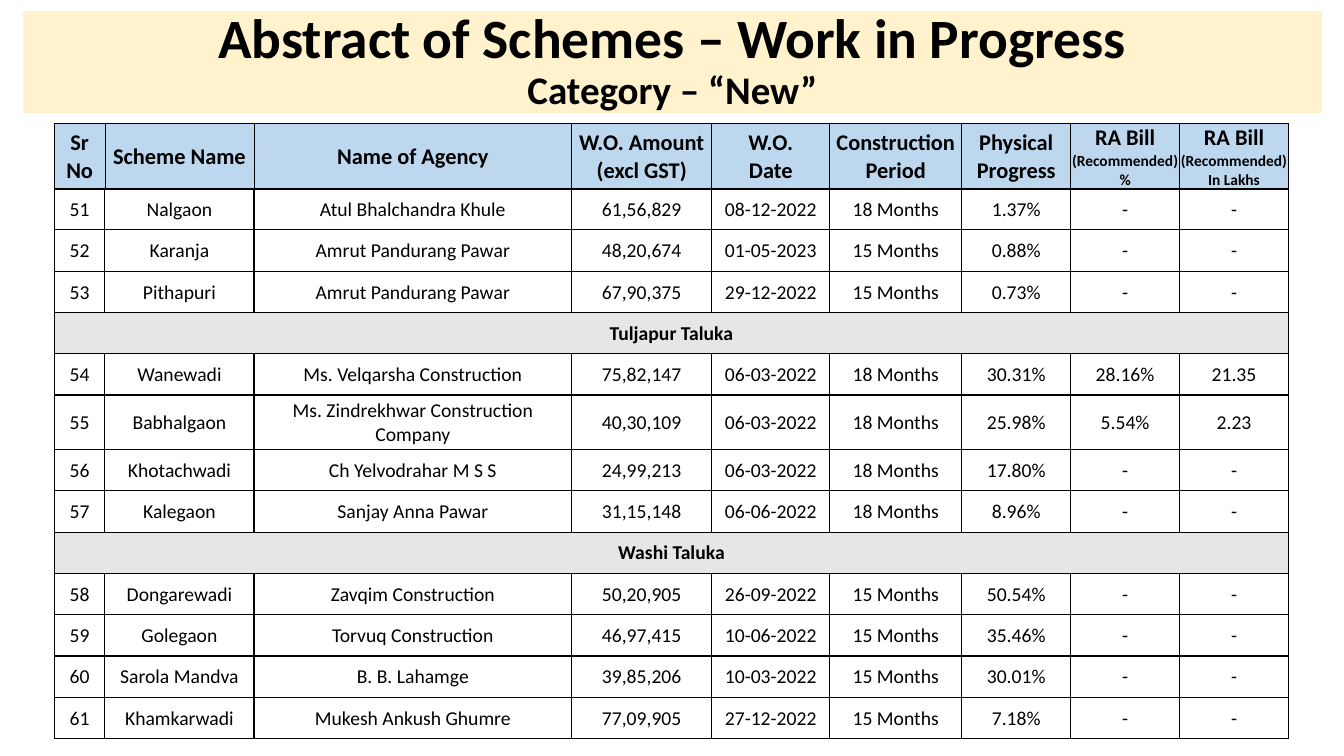
from pptx import Presentation
from pptx.dml.color import RGBColor
from pptx.enum.text import MSO_ANCHOR, MSO_AUTO_SIZE, PP_ALIGN
from pptx.oxml import parse_xml
from pptx.oxml.ns import nsdecls
from pptx.util import Inches, Pt

BLACK = RGBColor(0x00, 0x00, 0x00)
CREAM = RGBColor(0xFF, 0xF2, 0xCC)
BLUE = RGBColor(0xBD, 0xD7, 0xEE)
GREY = RGBColor(0xE7, 0xE6, 0xE6)

LEFT = 0.54
COLUMN_WIDTHS = [0.5, 1.48, 3.15, 1.39, 1.17, 1.31, 1.08, 1.08, 1.08]
HEADER_HEIGHT, ROW_HEIGHT, TALL_ROW_HEIGHT = 0.65, 0.41, 0.54
MARGINS = {"margin_left": Inches(0.01), "margin_top": Inches(0.01),
           "margin_right": Inches(0.01), "margin_bottom": 0}

# Each heading is a list of (text, size) paragraphs.
HEADINGS = [
    [("Sr No", 16)],
    [("Scheme Name", 16)],
    [("Name of Agency", 16)],
    [("W.O. Amount\n(excl GST)", 16)],
    [("W.O.\nDate", 16)],
    [("Construction\nPeriod", 16)],
    [("Physical", 16), ("Progress", 16)],
    [("RA Bill", 16), ("(Recommended)", 11), ("%", 11)],
    [("RA Bill", 16), ("(Recommended)", 11), ("In Lakhs", 11)],
]
# A row with a single entry is a taluka band across the table.
SCHEMES = [
    ["51", "Nalgaon", "Atul Bhalchandra Khule", "61,56,829", "08-12-2022", "18 Months", "1.37%", "-", "-"],
    ["52", "Karanja", "Amrut Pandurang Pawar", "48,20,674", "01-05-2023", "15 Months", "0.88%", "-", "-"],
    ["53", "Pithapuri", "Amrut Pandurang Pawar", "67,90,375", "29-12-2022", "15 Months", "0.73%", "-", "-"],
    ["Tuljapur Taluka"],
    ["54", "Wanewadi", "Ms. Velqarsha Construction", "75,82,147", "06-03-2022", "18 Months", "30.31%", "28.16%", "21.35"],
    ["55", "Babhalgaon", "Ms. Zindrekhwar Construction Company", "40,30,109", "06-03-2022", "18 Months", "25.98%", "5.54%", "2.23"],
    ["56", "Khotachwadi", "Ch Yelvodrahar M S S", "24,99,213", "06-03-2022", "18 Months", "17.80%", "-", "-"],
    ["57", "Kalegaon", "Sanjay Anna Pawar", "31,15,148", "06-06-2022", "18 Months", "8.96%", "-", "-"],
    ["Washi Taluka"],
    ["58", "Dongarewadi", "Zavqim Construction", "50,20,905", "26-09-2022", "15 Months", "50.54%", "-", "-"],
    ["59", "Golegaon", "Torvuq Construction", "46,97,415", "10-06-2022", "15 Months", "35.46%", "-", "-"],
    ["60", "Sarola Mandva", "B. B. Lahamge", "39,85,206", "10-03-2022", "15 Months", "30.01%", "-", "-"],
    ["61", "Khamkarwadi", "Mukesh Ankush Ghumre", "77,09,905", "27-12-2022", "15 Months", "7.18%", "-", "-"],
]
TALL_ROW = 5


def add_grid(page, top, row_heights):
    """Add an unstyled table that uses the shared column widths."""
    frame = page.shapes.add_table(
        len(row_heights), len(COLUMN_WIDTHS), Inches(LEFT), Inches(top),
        Inches(sum(COLUMN_WIDTHS)), Inches(sum(row_heights)))
    table = frame.table
    table.first_row = table.horz_banding = False
    for column, width in zip(table.columns, COLUMN_WIDTHS):
        column.width = Inches(width)
    for row, height in zip(table.rows, row_heights):
        row.height = Inches(height)
    return table


def format_cell(cell, paragraphs, bold, fill, side_width, bottom_width):
    """Fill a cell with centred (text, size) paragraphs, borders and colour."""
    for name, value in MARGINS.items():
        setattr(cell, name, value)
    cell.vertical_anchor = MSO_ANCHOR.MIDDLE
    properties = cell._tc.get_or_add_tcPr()
    for side in "LRTB":
        width = Pt(bottom_width if side == "B" else side_width)
        properties.append(parse_xml(
            f'<a:ln{side} {nsdecls("a")} w="{width}"><a:solidFill>'
            f'<a:srgbClr val="{BLACK}"/></a:solidFill></a:ln{side}>'))
    if fill is None:
        cell.fill.background()
    else:
        cell.fill.solid()
        cell.fill.fore_color.rgb = fill
    for index, (text, size) in enumerate(paragraphs):
        box = cell.text_frame
        para = box.add_paragraph() if index else box.paragraphs[0]
        para.text = text
        para.alignment = PP_ALIGN.CENTER
        for span in para.runs:
            for name, value in {"name": "Calibri", "size": Pt(size), "bold": bold}.items():
                setattr(span.font, name, value)
            span.font.color.rgb = BLACK


deck = Presentation()
deck.slide_width, deck.slide_height = Inches(13.33), Inches(7.5)
page = deck.slides.add_slide(deck.slide_layouts[5])

title = page.shapes.title
title.left, title.top = Inches(0.23), Inches(0.11)
title.width, title.height = Inches(12.88), Inches(1.01)
title.fill.solid()
title.fill.fore_color.rgb = CREAM
title.text_frame.vertical_anchor = MSO_ANCHOR.MIDDLE
title.text_frame.auto_size = MSO_AUTO_SIZE.NONE
para = title.text_frame.paragraphs[0]
para.text = "Abstract of Schemes – Work in Progress\nCategory – “New”"
para.alignment = PP_ALIGN.CENTER
para.line_spacing = 0.9
for span, size in zip(para.runs, [39.6, 27.9]):
    for name, value in {"name": "Calibri", "size": Pt(size), "bold": True}.items():
        setattr(span.font, name, value)
    span.font.color.rgb = BLACK

header = add_grid(page, 1.22, [HEADER_HEIGHT])
for column, heading in enumerate(HEADINGS):
    format_cell(header.cell(0, column), heading, True, BLUE, 0.5, 1)

row_heights = [ROW_HEIGHT] * len(SCHEMES)
row_heights[TALL_ROW] = TALL_ROW_HEIGHT
body = add_grid(page, 1.22 + HEADER_HEIGHT, row_heights)
last_column = len(COLUMN_WIDTHS) - 1
for row, entries in enumerate(SCHEMES):
    is_band = len(entries) == 1
    if is_band:
        body.cell(row, 0).merge(body.cell(row, last_column))
    for column in range(last_column + 1):
        paragraphs = [(entries[column], 14)] if column < len(entries) else []
        format_cell(body.cell(row, column), paragraphs, is_band, GREY if is_band else None, 1, 1)

deck.save("out.pptx")
